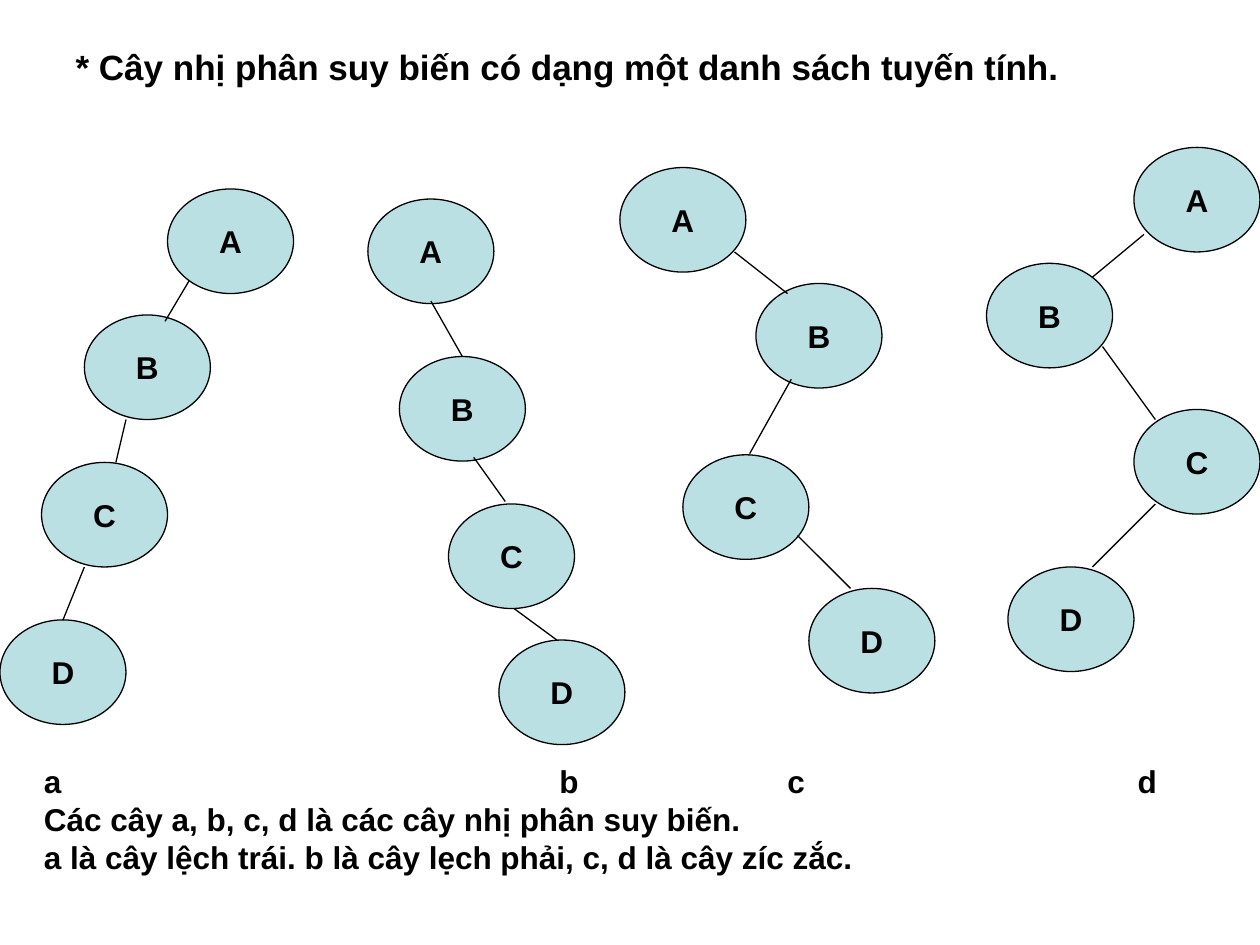
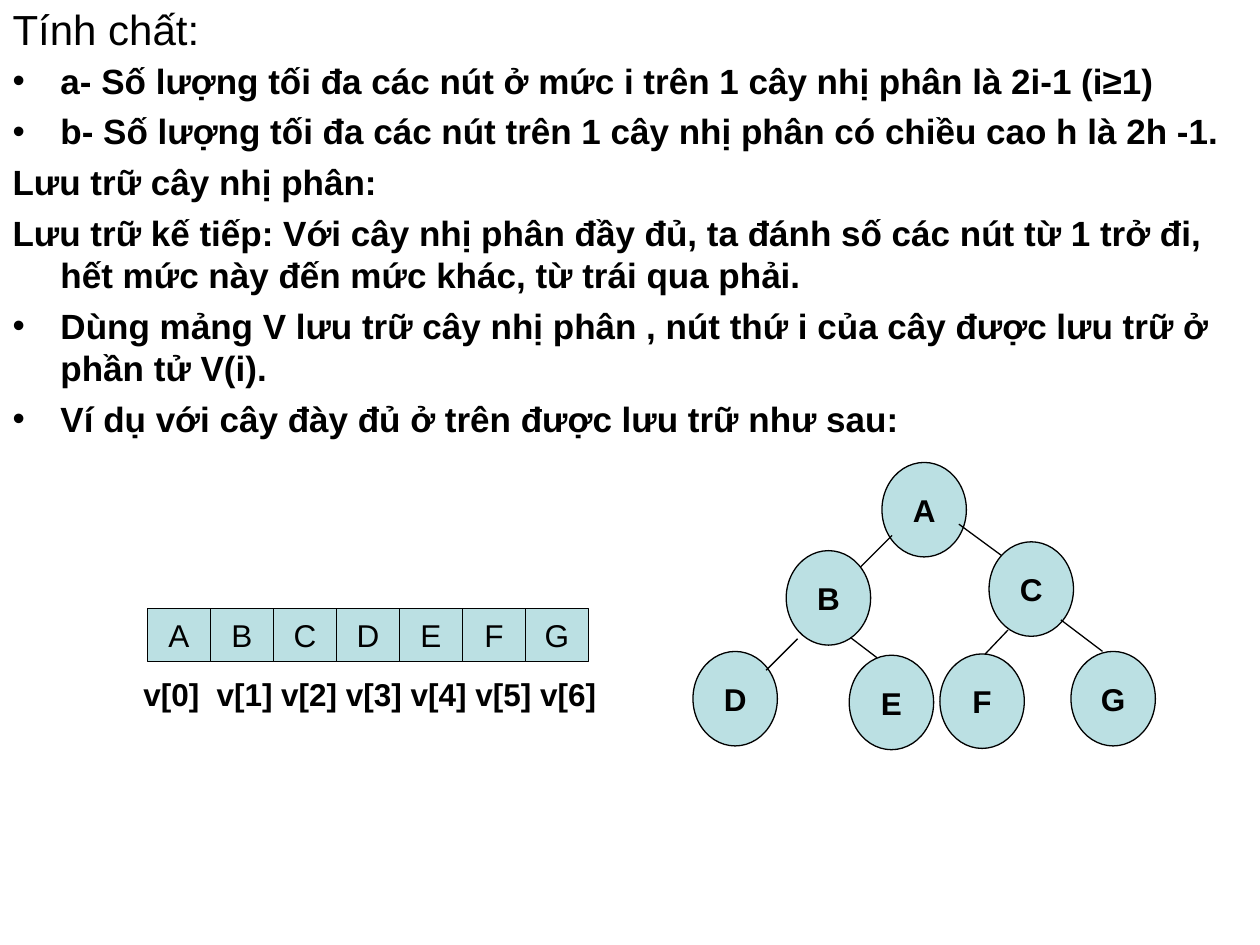
from lxml import etree
from pptx import Presentation
from pptx.dml.color import RGBColor
from pptx.enum import shapes as kinds, text
from pptx.oxml.ns import qn
from pptx.util import Inches, Pt

FONT = "Arial"
INK = "000000"
NODE_FILL = "BBE0E3"
LINE_WIDTH = Pt(0.75)


def write(box, lines, size, bold=True, align=text.PP_ALIGN.LEFT, wrap=True,
          anchor=text.MSO_ANCHOR.MIDDLE, tabs=()):
    """Fill a box with one paragraph per line; tabs are stops in inches."""
    frame = box.text_frame
    frame.text = "\n".join(lines)
    frame.word_wrap = wrap
    frame.auto_size = text.MSO_AUTO_SIZE.NONE
    frame.vertical_anchor = anchor
    for para in frame.paragraphs:
        para.alignment = align
        for span in para.runs:
            span.font.name = FONT
            span.font.size = Pt(size)
            span.font.bold = bold
            span.font.color.rgb = RGBColor.from_string(INK)
    if tabs:
        stops = etree.SubElement(frame.paragraphs[0]._p.get_or_add_pPr(), qn("a:tabLst"))
        for stop in tabs:
            etree.SubElement(stops, qn("a:tab"), pos=str(Inches(stop)), algn="l")


def add_node(shapes, kind, label, left, top, width, height, bold=True):
    """Add a pale outlined shape with a centred letter."""
    node = shapes.add_shape(kind, Inches(left), Inches(top), Inches(width), Inches(height))
    node.shadow.inherit = False
    node.fill.solid()
    node.fill.fore_color.rgb = RGBColor.from_string(NODE_FILL)
    node.line.color.rgb = RGBColor.from_string(INK)
    node.line.width = LINE_WIDTH
    write(node, [label], 18, bold, text.PP_ALIGN.CENTER, wrap=False)


deck = Presentation()
deck.slide_width, deck.slide_height = Inches(10), Inches(7.5)

# Pages and their titles
titles = [
    (5, "* Cây nhị phân suy biến có dạng một danh sách tuyến tính.", 0.5, 0.3, 20, True),
    (1, "Tính chất:", 0, 0, 24, False),
]
for layout, words, left, top, size, bold in titles:
    page = deck.slides.add_slide(deck.slide_layouts[layout])
    title = page.shapes.title
    title.left, title.top = Inches(left), Inches(top)
    title.width, title.height = Inches(9), Inches(0.45)
    write(title, [words], size, bold)
degenerate_page, storage_page = deck.slides

# Captions under the degenerate trees
caption = degenerate_page.shapes.add_textbox(Inches(0.25), Inches(6), Inches(9.42), Inches(1))
write(caption, [
    "a\tb\tc\td",
    "Các cây a, b, c, d là các cây nhị phân suy biến.",
    "a là cây lệch trái. b là cây lẹch phải, c, d là cây zíc zắc.",
], 18, anchor=text.MSO_ANCHOR.TOP, tabs=(4.09, 5.9, 8.68))

# Properties and storage rules: (bulleted, words)
rules = [
    (True, "a- Số lượng tối đa các nút ở mức i trên 1 cây nhị phân là 2i-1 (i≥1)"),
    (True, "b- Số lượng tối đa các nút trên 1 cây nhị phân có chiều cao h là 2h -1."),
    (False, "Lưu trữ cây nhị phân:"),
    (False, "Lưu trữ kế tiếp: Với cây nhị phân đầy đủ, ta đánh số các nút từ 1 trở đi, "
            "hết mức này đến mức khác, từ trái qua phải."),
    (True, "Dùng mảng V lưu trữ cây nhị phân , nút thứ i của cây được lưu trữ ở phần tử V(i)."),
    (True, "Ví dụ với cây đày đủ ở trên được lưu trữ như sau:"),
]
body = storage_page.placeholders[1]
body.left, body.top, body.width, body.height = Inches(0), Inches(0.42), Inches(10), Inches(7.08)
write(body, [words for _, words in rules], 20, anchor=text.MSO_ANCHOR.TOP)
for para, (bulleted, _) in zip(body.text_frame.paragraphs, rules):
    para.space_before = Pt(5)
    props = para._p.get_or_add_pPr()
    props.set("marL", str(Inches(0.38)))
    props.set("indent", str(Inches(-0.38)))
    if bulleted:
        etree.SubElement(props, qn("a:buChar"), char="•")
    else:
        etree.SubElement(props, qn("a:buNone"))

# Array V and its indexes
for index, letter in enumerate("ABCDEFG"):
    add_node(storage_page.shapes, kinds.MSO_SHAPE.RECTANGLE, letter,
             1.17 + 0.5 * index, 4.83, 0.5, 0.42, bold=False)
indexes = storage_page.shapes.add_textbox(Inches(1.04), Inches(5.31), Inches(4.01), Inches(0.4))
write(indexes, ["v[0]\tv[1] v[2] v[3] v[4] v[5] v[6]"], 18,
      anchor=text.MSO_ANCHOR.TOP, tabs=(0.58,))

# Trees: shapes to draw in, node size, node corners from A on, edges
chain_size, full_size = (1, 0.83), (0.67, 0.75)
chains = degenerate_page.shapes
full_tree = storage_page.shapes.add_group_shape().shapes
trees = [
    (chains, chain_size,
     [(1.33, 1.5), (0.67, 2.5), (0.33, 3.67), (0, 4.92)],
     [(1.5, 2.23, 1.31, 2.55), (1, 3.33, 0.92, 3.67), (0.67, 4.5, 0.5, 4.92)]),
    (chains, chain_size,
     [(2.92, 1.58), (3.17, 2.83), (3.56, 4), (3.96, 5.08)],
     [(3.42, 2.39, 3.67, 2.83), (3.76, 3.63, 4.01, 3.98), (4.08, 4.83, 4.42, 5.08)]),
    (chains, chain_size,
     [(4.92, 1.33), (6, 2.25), (5.42, 3.61), (6.42, 4.67)],
     [(5.83, 2, 6.25, 2.33), (6.28, 3.01, 5.95, 3.6), (6.33, 4.25, 6.75, 4.67)]),
    (chains, chain_size,
     [(9, 1.17), (7.83, 2.09), (9, 3.25), (8, 4.5)],
     [(9.08, 1.86, 8.67, 2.2), (8.75, 2.75, 9.17, 3.33), (9.17, 4, 8.67, 4.5)]),
    (full_tree, full_size,
     [(7, 3.67), (6.24, 4.37), (7.85, 4.3), (5.5, 5.17), (6.74, 5.2), (7.46, 5.19), (8.5, 5.17)],
     [(7.08, 4.25, 6.83, 4.5), (7.61, 4.16, 7.95, 4.41), (6.33, 5.07, 6.08, 5.32),
      (6.75, 5.06, 6.96, 5.22), (8, 5, 7.82, 5.19), (8.42, 4.92, 8.75, 5.17)]),
]
for shapes, size, corners, edges in trees:
    for letter, corner in zip("ABCDEFG", corners):
        add_node(shapes, kinds.MSO_SHAPE.OVAL, letter, *corner, *size)
    for edge in edges:
        link = shapes.add_connector(kinds.MSO_CONNECTOR.STRAIGHT, *map(Inches, edge))
        link.line.color.rgb = RGBColor.from_string(INK)
        link.line.width = LINE_WIDTH
        etree.SubElement(link._element.spPr, qn("a:effectLst"))

deck.save("out.pptx")
